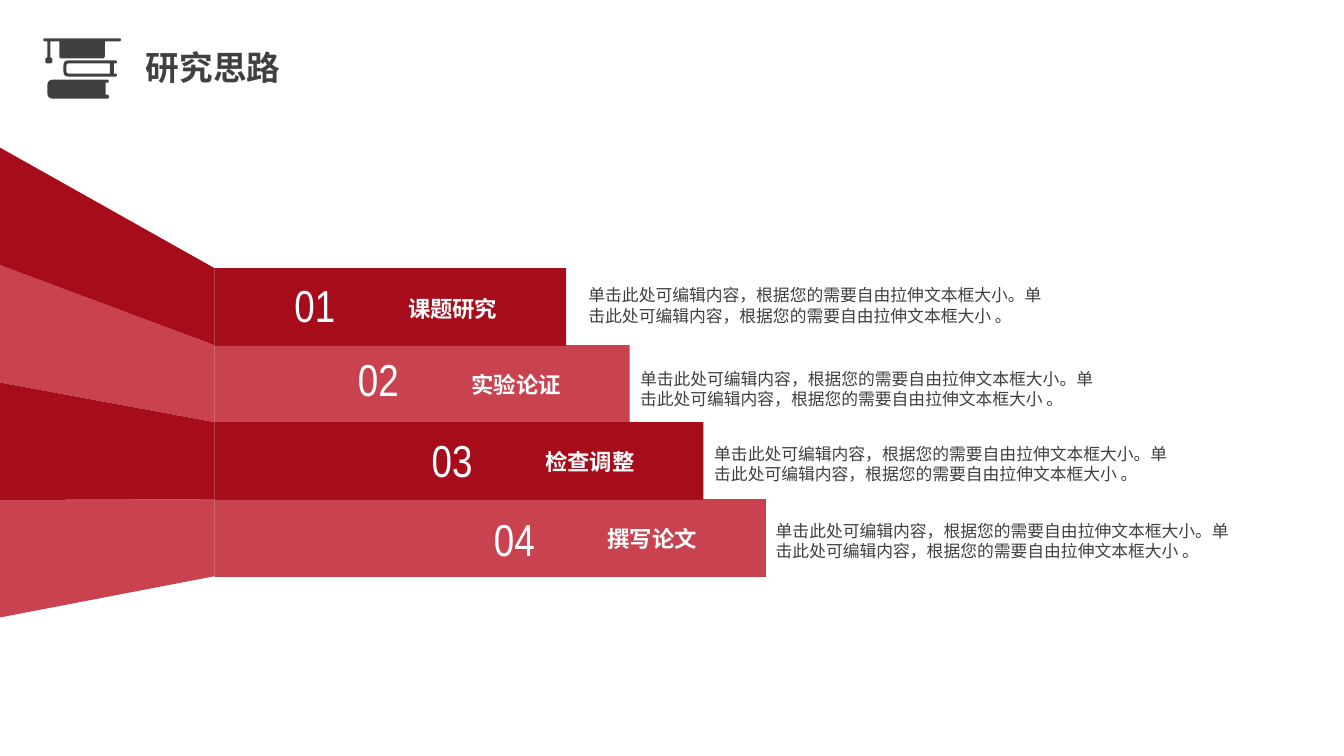
from math import hypot
from lxml.etree import SubElement
from pptx import Presentation as Deck
from pptx.dml.color import RGBColor as Rgb
from pptx.enum.shapes import MSO_SHAPE as Kind
from pptx.enum.text import MSO_AUTO_SIZE as Fit, PP_ALIGN as Align
from pptx.oxml.ns import qn
from pptx.util import Cm, Pt

COLORS = {"deep": "A70C1B", "light": "BB0E1F", "dark": "404040", "white": "FFFFFF"}
ALPHA = {"light": 78}
HAN = "Noto Sans CJK SC"
LATIN = "Arial Narrow"


def bend(spots):
    points = []
    for i, (x, y, *size) in enumerate(spots):
        if not size:
            points.append((x, y))
            continue
        ends = []
        for px, py, *_ in (spots[i - 1], spots[(i + 1) % len(spots)]):
            part = size[0] / hypot(px - x, py - y)
            ends.append((x + (px - x) * part, y + (py - y) * part))
        (ax, ay), (bx, by) = ends
        for t in (0, 0.25, 0.5, 0.75, 1):
            u = 1 - t
            points.append((ax * u * u + 2 * x * t * u + bx * t * t,
                           ay * u * u + 2 * y * t * u + by * t * t))
    return points


class Painter:
    def __init__(self, slide):
        self.shapes = slide.shapes

    def paint(self, shape, color):
        shape.shadow.inherit = False
        shape.line.fill.background()
        shape.fill.solid()
        shape.fill.fore_color.rgb = Rgb.from_string(COLORS[color])
        if color in ALPHA:
            tint = shape._element.spPr.find(qn("a:solidFill"))[0]
            SubElement(tint, qn("a:alpha")).set("val", str(ALPHA[color] * 1000))

    def bar(self, left, top, width, height, color):
        box = self.shapes.add_shape(
            Kind.RECTANGLE, Cm(left), Cm(top), Cm(width), Cm(height))
        self.paint(box, color)

    def form(self, loops, color, unit=1):
        pen = None
        for loop in loops:
            first, *rest = [(Cm(x * unit), Cm(y * unit)) for x, y in bend(loop)]
            if pen is None:
                pen = self.shapes.build_freeform(*first)
            else:
                pen.move_to(*first)
            pen.add_line_segments(rest, close=True)
        self.paint(pen.convert_to_shape(), color)

    def text(self, words, left, top, width, height, size=12, color="dark",
             font=HAN, bold=False, align=Align.LEFT):
        box = self.shapes.add_textbox(Cm(left), Cm(top), Cm(width), Cm(height))
        frame = box.text_frame
        frame.word_wrap = True
        frame.auto_size = Fit.SHAPE_TO_FIT_TEXT
        para = frame.paragraphs[0]
        para.alignment = align
        if font == HAN:
            para.line_spacing = Pt(size * 1.2)
        run = para.add_run()
        run.text = words
        style = run.font
        style.size = Pt(size)
        style.bold = bold
        style.color.rgb = Rgb.from_string(COLORS[color])
        style.name = font
        SubElement(run._r.rPr, qn("a:ea")).set("typeface", font)


BODY = "单击此处可编辑内容，根据您的需要自由拉伸文本框大小。" * 2
BODY = BODY[:-1] + " 。"

ROWS = [
    ("课题研究", 8.86, 6.88, 14.58, 7.06),
    ("实验论证", 10.46, 8.74, 15.88, 9.17),
    ("检查调整", 12.32, 10.77, 17.75, 11.05),
    ("撰写论文", 13.89, 12.78, 19.3, 13.0),
]

BOOKS = [
    [(47, 98, 6), (47, 79, 6), (108, 79, 1.5), (108, 82, 1.5),
     (105, 82), (105, 94), (108, 94, 1.5), (108, 98, 1.5)],
    [(63, 76, 5), (63, 60, 5), (116, 60, 1.5), (116, 63, 1.5),
     (113, 63), (113, 73), (116, 73, 1.5), (116, 76, 1.5)],
    [(66, 73, 2), (109, 73), (109, 63), (66, 63, 2)],
    [(43, 38, 1.5), (120, 38, 1.5), (120, 41, 1.5), (104, 41),
     (104, 58, 2), (59, 58, 2), (59, 41), (50, 41), (50, 57),
     (52, 58, 1), (52, 63, 2.5), (45, 63, 2.5), (45, 58, 1),
     (47, 57), (47, 41), (43, 41, 1.5)],
]

EDGE, TOP, STEP = 5.41, 6.76, 1.94
WALL, RISE = 3.72, 2.96


def main():
    deck = Deck()
    deck.slide_width, deck.slide_height = Cm(33.87), Cm(19.05)
    art = Painter(deck.slides.add_slide(deck.slide_layouts[6]))

    art.form(BOOKS, "dark", unit=0.0254)
    art.text("研究思路", 3.43, 1.07, 6.3, 1.27, size=24, bold=True)

    for i, (label, width, rank, left, top) in enumerate(ROWS):
        color = ("deep", "light")[i % 2]
        far, near, end = WALL + RISE * i, TOP + STEP * i, EDGE + width
        art.form([[(0, far), (0, far + RISE), (EDGE, near + STEP), (EDGE, near)]], color)
        art.bar(EDGE, near, width, 1.96, color)
        art.text(f"{i + 1:02}", end - 7.39, rank, 2.11, 1.63, size=32,
                 color="white", font=LATIN, align=Align.CENTER)
        art.text(label, end - 5.25, near + 0.54, 4.78, 0.94, size=16,
                 color="white", bold=True, align=Align.CENTER)
        art.text(BODY, left, top, 12.34, 1.27)

    deck.save("out.pptx")


if __name__ == "__main__":
    main()
